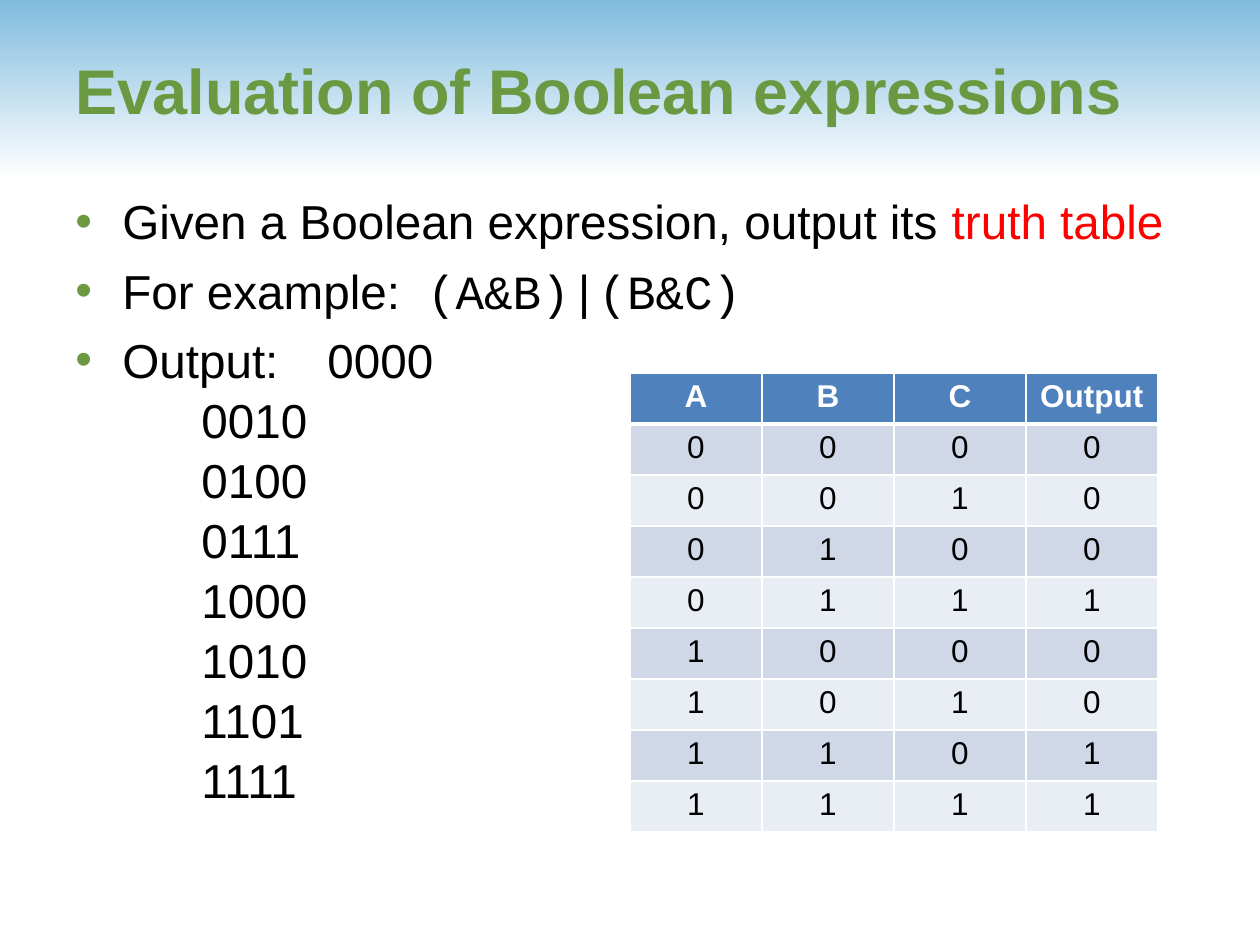
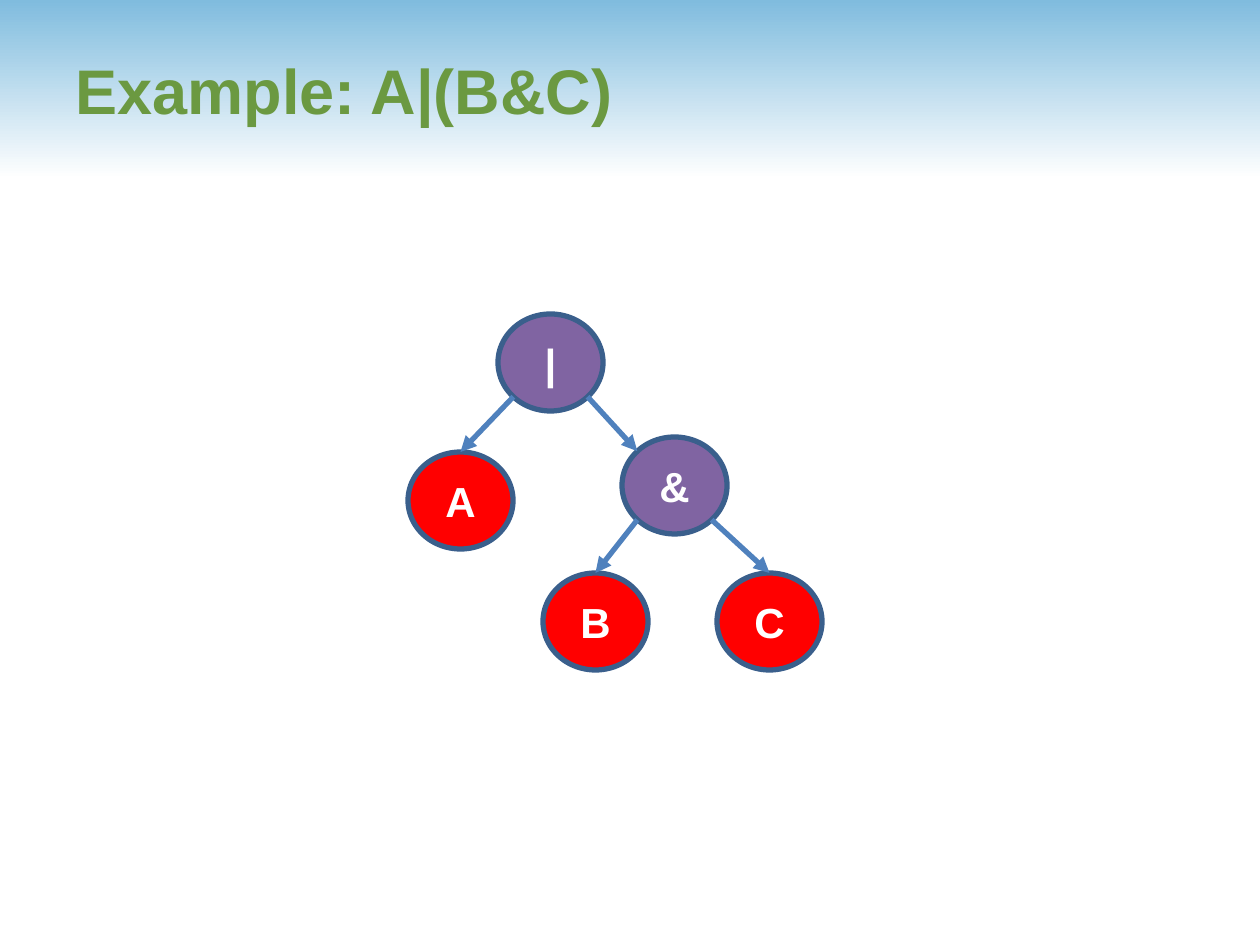
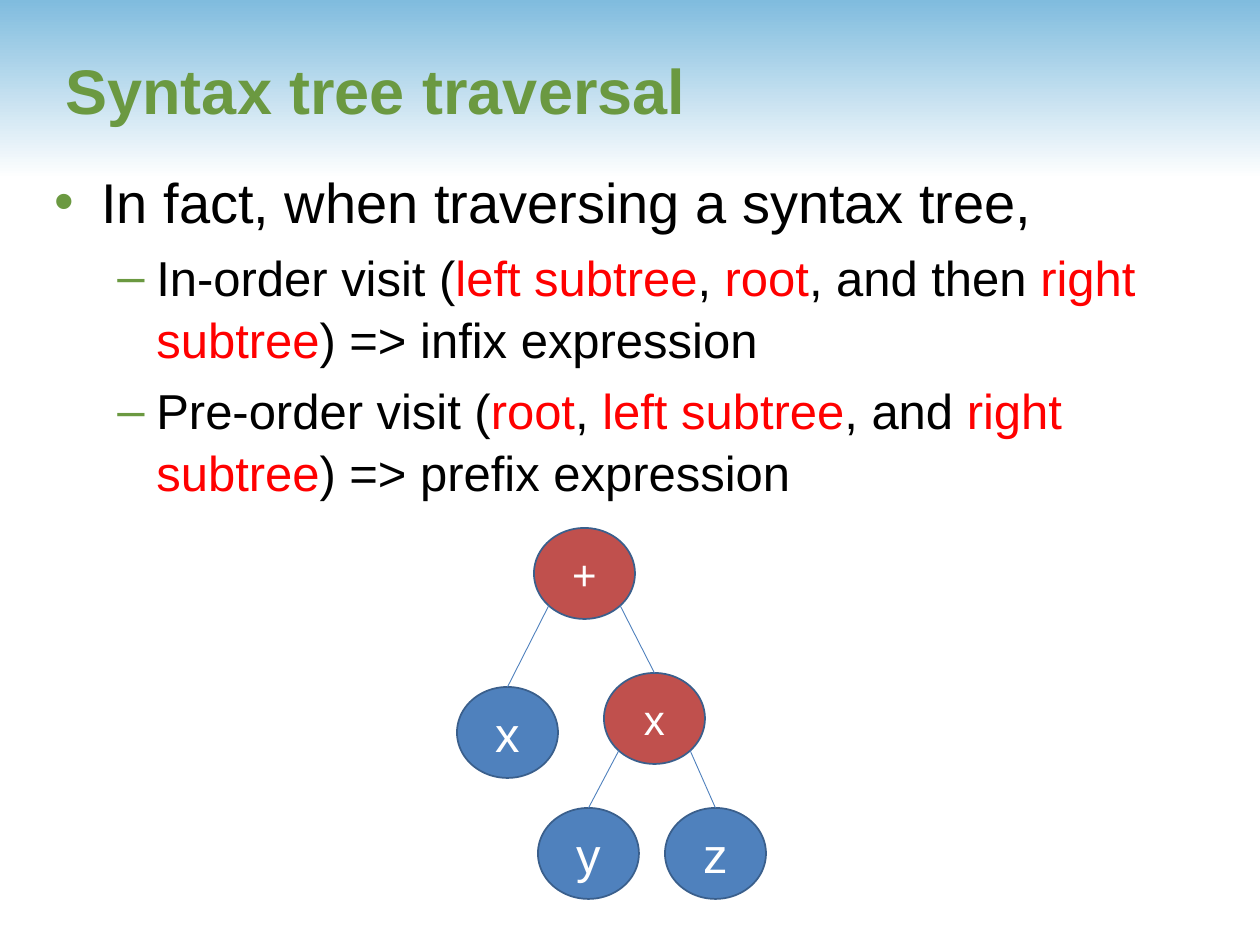
from math import sqrt

from lxml import etree
from pptx import Presentation
from pptx.dml.color import RGBColor
from pptx.enum.shapes import MSO_CONNECTOR, MSO_SHAPE
from pptx.enum.text import MSO_ANCHOR, PP_ALIGN
from pptx.oxml.ns import qn
from pptx.util import Emu, Pt

ELLIPSE, BAND_SHAPE = MSO_SHAPE.OVAL, MSO_SHAPE.PENTAGON
STRAIGHT = MSO_CONNECTOR.STRAIGHT
MIDDLE = MSO_ANCHOR.MIDDLE
LEFT, CENTER = PP_ALIGN.LEFT, PP_ALIGN.CENTER
TITLE_ONLY = 5
TOP_SITE = 0

PX_PER_INCH = 126
EMU_PER_PX = 914400 / PX_PER_INCH
SLIDE_W, SLIDE_H, BAND_H = 1260, 945, 179

SANS, MONO = "Arial", "Courier New"
COLORS = {
    "sky": "80BCDE", "white": "FFFFFF", "black": "000000", "green": "6B9941",
    "red": "FF0000", "blue": "4F81BD", "outline": "3A5F8C", "purple": "8064A2",
    "brick": "C0504D", "row_dark": "D0D8E8", "row_light": "E9EDF4",
}

# Bullet levels: mark, left margin and hanging indent in px
LEVELS = [("•", 47, 47), ("–", 102, 39)]

# Paragraphs: level, size, spans; a span is plain text or (text, style)
OUTPUTS = ["0000", "0010", "0100", "0111", "1000", "1010", "1101", "1111"]
EVALUATION_POINTS = [
    (0, 27.2, ["Given a Boolean expression, output its ", ("truth table", "red")]),
    (0, 27.2, ["For example:  ", ("(A&B)|(B&C)", "mono")]),
    (0, 27.2, ["Output:\t" + "\n\t\t".join(OUTPUTS)]),
]
TRAVERSAL_POINTS = [
    (0, 32, ["In fact, when traversing a syntax tree,"]),
    (1, 28, ["In-order visit (", ("left subtree", "red"), ", ", ("root", "red"),
             ", and then ", ("right subtree", "red"), ") => infix expression"]),
    (1, 28, ["Pre-order visit (", ("root", "red"), ", ", ("left subtree", "red"),
             ", and ", ("right subtree", "red"), ") => prefix expression"]),
]
TRUTH_TABLE = [["A", "B", "C", "Output"]] + [list(bits) for bits in OUTPUTS]

# Nodes: label, left, top, kind. Edges: parent, child, side, end of the line.
BOOLEAN_TREE = {
    "size": (105, 97), "outline": 3, "edge": 3, "bold": True, "arrows": True,
    "kinds": {"operator": ("purple", 24), "operand": ("red", 24)},
    "nodes": {
        "a": ("A", 408, 452, "operand"),
        "b": ("B", 543, 573, "operand"),
        "c": ("C", 717, 573, "operand"),
        "or": ("|", 498, 314, "operator"),
        "and": ("&", 622, 437, "operator"),
    },
    "edges": [("and", "c", "right", "top"), ("and", "b", "left", "top"),
              ("or", "and", "right", "corner"), ("or", "a", "left", "top")],
}
ARITHMETIC_TREE = {
    "size": (101, 91), "outline": 1, "edge": 0.5, "bold": False, "arrows": False,
    "kinds": {"operator": ("brick", 24), "operand": ("blue", 28)},
    "nodes": {
        "times": ("x", 604, 673, "operator"),
        "plus": ("+", 534, 528, "operator"),
        "z": ("z", 665, 808, "operand"),
        "x": ("x", 457, 687, "operand"),
        "y": ("y", 538, 808, "operand"),
    },
    "edges": [("plus", "times", "right", "top"), ("times", "z", "right", "top"),
              ("plus", "x", "left", "top"), ("times", "y", "left", "top")],
}


def px(*lengths):
    return [Emu(round(length * EMU_PER_PX)) for length in lengths]


def rgb(name):
    return RGBColor.from_string(COLORS[name])


def set_font(font, size, color, bold=False):
    font.name, font.size, font.bold = SANS, Pt(size), bold
    font.color.rgb = rgb(color)


def add_band(deck, layout):
    """Give the shared layout its gradient band, behind the title."""
    draft = deck.slides[0].shapes
    band = draft.add_shape(BAND_SHAPE, *px(0, 0, SLIDE_W, BAND_H))
    band.adjustments[0] = 0
    band.shadow.inherit = False
    band.line.fill.background()
    band.fill.gradient()
    band.fill.gradient_angle = 270
    for stop, color in zip(band.fill.gradient_stops, ("sky", "white")):
        stop.color.rgb = rgb(color)
    band.element.spPr.find(qn("a:xfrm")).set("flipH", "1")
    layout.shapes.element.insert(2, band.element)


def add_page(deck, layout, title, left=63, width=1144):
    page = deck.slides.add_slide(layout)
    box = page.shapes.title
    box.left, box.top, box.width, box.height = px(left, 10, width, 158)
    box.text_frame.text = title
    box.text_frame.vertical_anchor = MIDDLE
    para = box.text_frame.paragraphs[0]
    para.alignment = LEFT
    set_font(para.font, 36, "green", bold=True)
    return page


def add_bullet(para, level):
    mark, margin, hang = LEVELS[level]
    props = para._p.get_or_add_pPr()
    margin_emu, hang_emu = px(margin, hang)
    props.set("marL", str(margin_emu))
    props.set("indent", str(-hang_emu))
    color = etree.SubElement(props, qn("a:buClr"))
    etree.SubElement(color, qn("a:srgbClr"), val=COLORS["green"])
    etree.SubElement(props, qn("a:buFont"), typeface=SANS)
    etree.SubElement(props, qn("a:buChar"), char=mark)


def add_span(para, text, size, style):
    for number, line in enumerate(text.split("\n")):
        if number:
            para.add_line_break()
        span = para.add_run()
        span.text = line
        set_font(span.font, size, "red" if style == "red" else "black")
        if style == "mono":
            span.font.name = MONO


def add_points(page, points, left, top, width, height):
    frame = page.shapes.add_textbox(*px(left, top, width, height)).text_frame
    frame.word_wrap = True
    for number, (level, size, spans) in enumerate(points):
        para = frame.add_paragraph() if number else frame.paragraphs[0]
        para.level = level
        para.line_spacing = 1.05
        para.space_before = Pt(round(size * 0.2, 1))
        add_bullet(para, level)
        for span in spans:
            text, style = (span, None) if isinstance(span, str) else span
            add_span(para, text, size, style)


def set_borders(cell, bottom):
    props = cell._tc.get_or_add_tcPr()
    sides = {"a:lnL": 1, "a:lnR": 1, "a:lnT": 1, "a:lnB": bottom}
    for place, (tag, points) in enumerate(sides.items()):
        border = etree.Element(qn(tag), w=str(Pt(points)))
        fill = etree.SubElement(border, qn("a:solidFill"))
        etree.SubElement(fill, qn("a:srgbClr"), val=COLORS["white"])
        props.insert(place, border)


def add_truth_table(page, rows, left, top, col_w, row_h):
    count, cols = len(rows), len(rows[0])
    table = page.shapes.add_table(
        count, cols, *px(left, top, col_w * cols, row_h * count)).table
    for r, row in enumerate(rows):
        header = r == 0
        fill = "blue" if header else ("row_light", "row_dark")[r % 2]
        for c, value in enumerate(row):
            cell = table.cell(r, c)
            cell.text = value
            cell.fill.solid()
            cell.fill.fore_color.rgb = rgb(fill)
            set_borders(cell, 3 if header else 1)
            para = cell.text_frame.paragraphs[0]
            para.alignment = CENTER
            set_font(para.font, 18, "white" if header else "black", header)


def add_node(page, tree, label, left, top, kind):
    fill, size = tree["kinds"][kind]
    node = page.shapes.add_shape(ELLIPSE, *px(left, top, *tree["size"]))
    node.shadow.inherit = False
    node.fill.solid()
    node.fill.fore_color.rgb = rgb(fill)
    node.line.color.rgb = rgb("outline")
    node.line.width = Pt(tree["outline"])
    node.text_frame.text = label
    node.text_frame.vertical_anchor = MIDDLE
    para = node.text_frame.paragraphs[0]
    para.alignment = CENTER
    set_font(para.font, size, "white", tree["bold"])
    return node


def rim_point(node, across, down):
    """Point on the ellipse's diagonal; across and down are -1 or 1."""
    reach = sqrt(0.5) / 2
    return (Emu(round(node.left + node.width * (0.5 + across * reach))),
            Emu(round(node.top + node.height * (0.5 + down * reach))))


def add_edge(page, tree, parent, child, side, target):
    across = 1 if side == "right" else -1
    start, end = rim_point(parent, across, 1), rim_point(child, -across, -1)
    edge = page.shapes.add_connector(STRAIGHT, *start, *end)
    if target == "top":
        edge.end_connect(child, TOP_SITE)
    edge.line.color.rgb = rgb("blue")
    edge.line.width = Pt(tree["edge"])
    if tree["arrows"]:
        etree.SubElement(edge.line._get_or_add_ln(), qn("a:tailEnd"), type="triangle")
    etree.SubElement(edge._element.spPr, qn("a:effectLst"))


def add_tree(page, tree):
    nodes = {key: add_node(page, tree, *node) for key, node in tree["nodes"].items()}
    for parent, child, side, target in tree["edges"]:
        add_edge(page, tree, nodes[parent], nodes[child], side, target)


def main():
    deck = Presentation()
    deck.slide_width, deck.slide_height = px(SLIDE_W, SLIDE_H)
    layout = deck.slide_layouts[TITLE_ONLY]

    page = add_page(deck, layout, "Evaluation of Boolean expressions")
    add_band(deck, layout)
    add_points(page, EVALUATION_POINTS, 63, 183, 1144, 567)
    add_truth_table(page, TRUTH_TABLE, 630, 373, 132, 51)

    page = add_page(deck, layout, "Example: A|(B&C)")
    add_tree(page, BOOLEAN_TREE)

    page = add_page(deck, layout, "Syntax tree traversal", left=53, width=1187)
    add_points(page, TRAVERSAL_POINTS, 42, 158, 1197, 703)
    add_tree(page, ARITHMETIC_TREE)

    deck.save("out.pptx")


if __name__ == "__main__":
    main()
